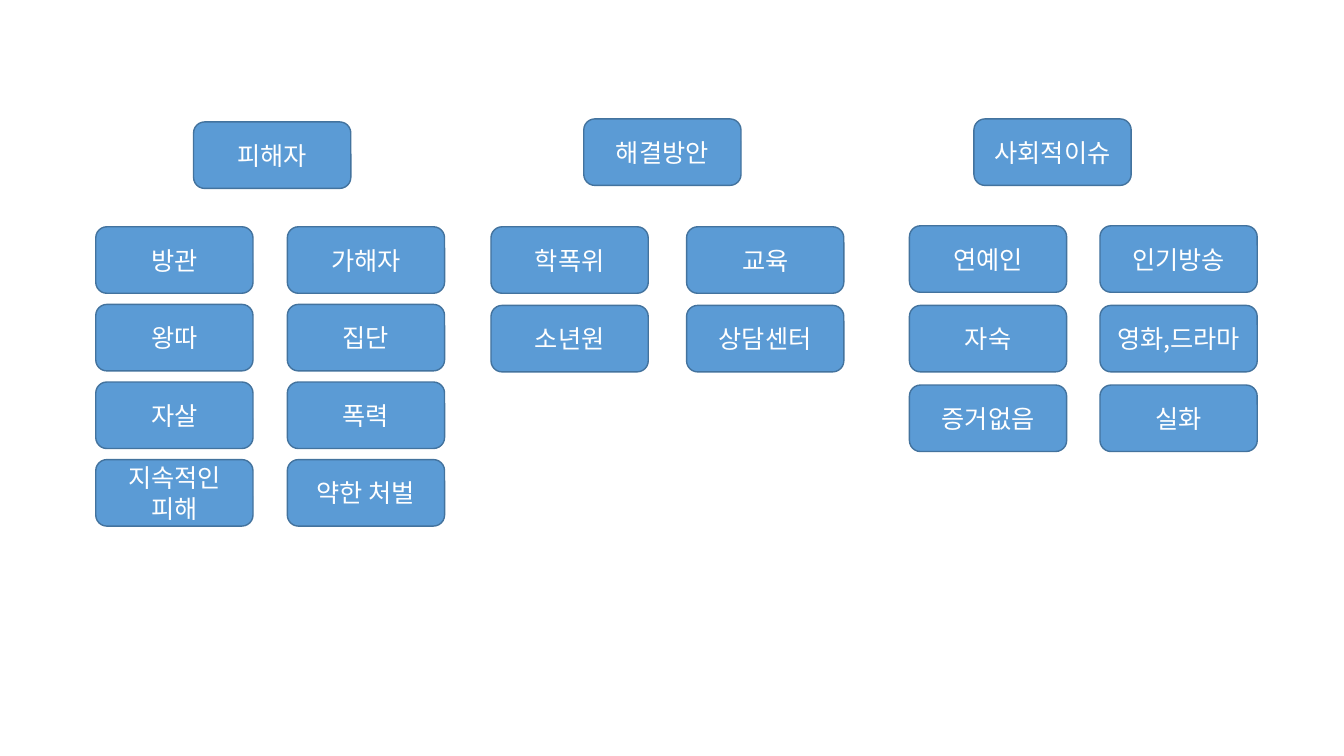
from dataclasses import dataclass

from lxml import etree
from pptx import Presentation
from pptx.dml.color import RGBColor
from pptx.enum.shapes import MSO_SHAPE
from pptx.enum.text import MSO_ANCHOR, PP_ALIGN
from pptx.oxml.ns import qn
from pptx.util import Inches, Pt

ROUNDED = MSO_SHAPE.ROUNDED_RECTANGLE
MIDDLE = MSO_ANCHOR.MIDDLE
CENTER = PP_ALIGN.CENTER


@dataclass(frozen=True)
class Theme:
    fill: str = "5B9BD5"
    line: str = "43739E"
    text: str = "FFFFFF"
    font: str = "Noto Sans CJK KR"
    size: int = 18
    line_width: int = 1


theme = Theme()

# Grid, in inches
BOX_WIDTH, BOX_HEIGHT = 1.56, 0.66
HEADING_LEFT, HEADING_STEP = 1.92, 3.87

presentation = Presentation()
presentation.slide_width = Inches(13.33)
presentation.slide_height = Inches(7.5)
slide = presentation.slides.add_slide(presentation.slide_layouts[6])


def write_text(shape, text, *, size, color, font, align=CENTER, anchor=MIDDLE):
    frame = shape.text_frame
    frame.word_wrap = True
    frame.vertical_anchor = anchor
    paragraph = frame.paragraphs[0]
    paragraph.alignment = align
    run = paragraph.add_run()
    run.text = text
    run.font.size = Pt(size)
    run.font.color.rgb = RGBColor.from_string(color)
    run.font.name = font
    # Korean text takes its typeface from the East Asian slot
    etree.SubElement(run.font._element, qn("a:ea"), typeface=font)


def add_box(text, left, top):
    shape = slide.shapes.add_shape(
        ROUNDED, Inches(left), Inches(top), Inches(BOX_WIDTH), Inches(BOX_HEIGHT))
    shape.shadow.inherit = False
    shape.fill.solid()
    shape.fill.fore_color.rgb = RGBColor.from_string(theme.fill)
    shape.line.color.rgb = RGBColor.from_string(theme.line)
    shape.line.width = Pt(theme.line_width)
    write_text(shape, text, size=theme.size, color=theme.text, font=theme.font)


# Groups: heading, heading top, (left, top), (column step, row step), rows
groups = [
    ("피해자", 1.21, (0.95, 2.25), (1.9, 0.77), [
        ("방관", "가해자"),
        ("왕따", "집단"),
        ("자살", "폭력"),
        ("지속적인 피해", "약한 처벌"),
    ]),
    ("해결방안", 1.18, (4.87, 2.25), (1.94, 0.78), [
        ("학폭위", "교육"),
        ("소년원", "상담센터"),
    ]),
    ("사회적이슈", 1.18, (9.02, 2.24), (1.89, 0.79), [
        ("연예인", "인기방송"),
        ("자숙", "영화,드라마"),
        ("증거없음", "실화"),
    ]),
]

# Each heading, then its two columns of keywords
for index, (heading, heading_top, origin, step, rows) in enumerate(groups):
    add_box(heading, HEADING_LEFT + index * HEADING_STEP, heading_top)
    for row, keywords in enumerate(rows):
        for column, keyword in enumerate(keywords):
            add_box(keyword, origin[0] + column * step[0], origin[1] + row * step[1])

presentation.save("out.pptx")
